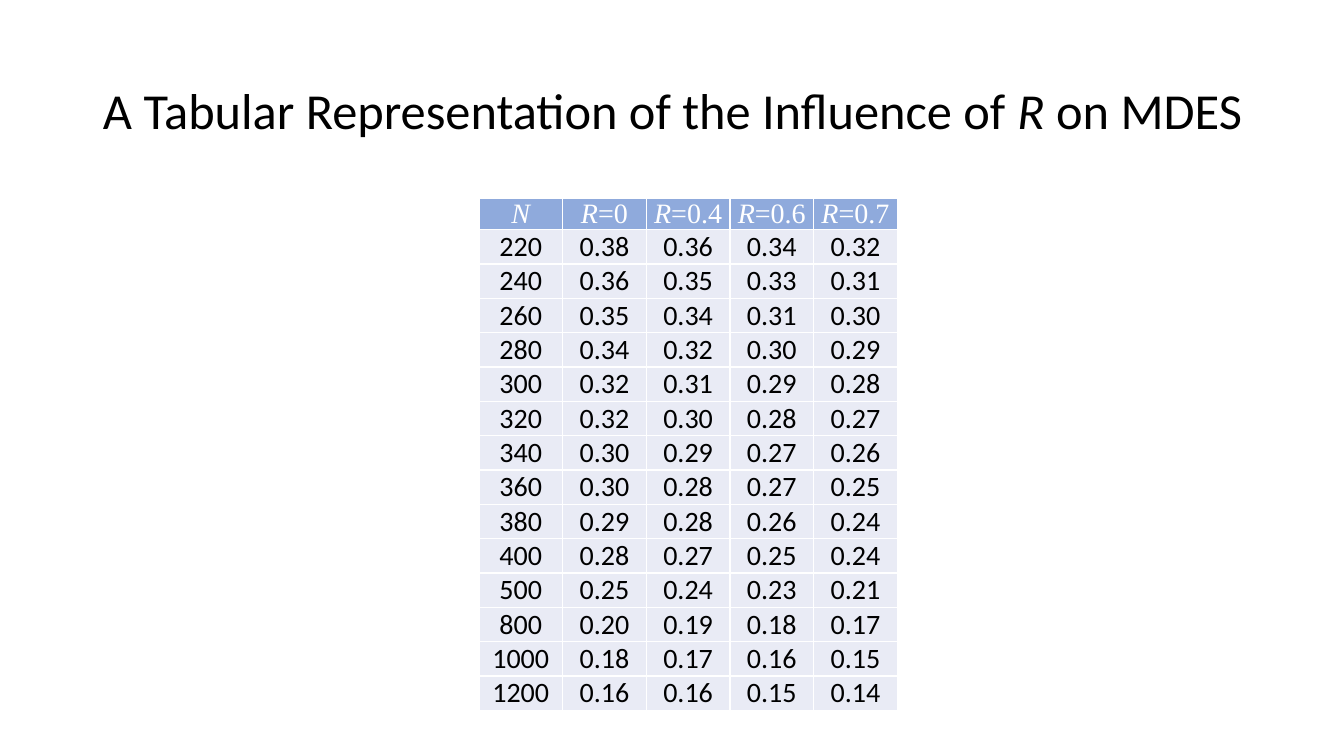
from lxml import etree
from pptx import Presentation
from pptx import util as u
from pptx.dml.color import RGBColor
from pptx.enum import text
from pptx.oxml import ns

TITLE = [("A Tabular Representation of the Influence of ", False), ("R", True), (" on MDES", False)]
HEADER = [
    [("N", True)],
    [("R", True), ("=0", False)],
    [("R", True), ("=0.4", False)],
    [("R", True), ("=0.6", False)],
    [("R", True), ("=0.7", False)],
]
MDES = [
    ("220", "0.38", "0.36", "0.34", "0.32"),
    ("240", "0.36", "0.35", "0.33", "0.31"),
    ("260", "0.35", "0.34", "0.31", "0.30"),
    ("280", "0.34", "0.32", "0.30", "0.29"),
    ("300", "0.32", "0.31", "0.29", "0.28"),
    ("320", "0.32", "0.30", "0.28", "0.27"),
    ("340", "0.30", "0.29", "0.27", "0.26"),
    ("360", "0.30", "0.28", "0.27", "0.25"),
    ("380", "0.29", "0.28", "0.26", "0.24"),
    ("400", "0.28", "0.27", "0.25", "0.24"),
    ("500", "0.25", "0.24", "0.23", "0.21"),
    ("800", "0.20", "0.19", "0.18", "0.17"),
    ("1000", "0.18", "0.17", "0.16", "0.15"),
    ("1200", "0.16", "0.16", "0.15", "0.14"),
]
COLUMN_WIDTH, ROW_HEIGHT = 0.83, 0.22
TABLE_LEFT, TABLE_TOP, TABLE_HEIGHT = 4.75, 1.97, 5.05


def color(hex_string):
    return RGBColor.from_string(hex_string)


def write(paragraph, runs, font_name, size, hex_string):
    paragraph.alignment = text.PP_ALIGN.CENTER
    paragraph.font.name = font_name
    paragraph.font.size = u.Pt(size)
    paragraph.font.color.rgb = color(hex_string)
    for words, italic in runs:
        run = paragraph.add_run()
        run.text = words
        run.font.name = font_name
        run.font.size = u.Pt(size)
        run.font.color.rgb = color(hex_string)
        run.font.italic = italic


def add_borders(cell, hex_string, width):
    properties = cell._tc.get_or_add_tcPr()
    for side in ("lnL", "lnR", "lnT", "lnB"):
        line = etree.SubElement(properties, ns.qn("a:" + side), w=str(u.Pt(width)))
        fill = etree.SubElement(line, ns.qn("a:solidFill"))
        etree.SubElement(fill, ns.qn("a:srgbClr"), val=hex_string)


def fill_cell(cell, runs, font_name, text_color, fill_color):
    cell.margin_left = cell.margin_right = cell.margin_top = cell.margin_bottom = 0
    cell.vertical_anchor = text.MSO_ANCHOR.BOTTOM
    add_borders(cell, "FFFFFF", 1)
    cell.fill.solid()
    cell.fill.fore_color.rgb = color(fill_color)
    write(cell.text_frame.paragraphs[0], runs, font_name, 20, text_color)


def add_title(slide):
    title = slide.shapes.title
    title.left, title.top = u.Inches(0.92), u.Inches(0.4)
    title.width, title.height = u.Inches(11.5), u.Inches(1.45)
    title.text_frame.vertical_anchor = text.MSO_ANCHOR.MIDDLE
    paragraph = title.text_frame.paragraphs[0]
    paragraph.line_spacing = 0.9
    write(paragraph, TITLE, "Calibri", 36, "000000")


def add_mdes_table(slide):
    frame = slide.shapes.add_table(
        len(MDES) + 1, len(HEADER), u.Inches(TABLE_LEFT), u.Inches(TABLE_TOP),
        u.Inches(COLUMN_WIDTH * len(HEADER)), u.Inches(TABLE_HEIGHT))
    table = frame.table
    for row in table.rows:
        row.height = u.Inches(ROW_HEIGHT)
    frame.height = u.Inches(TABLE_HEIGHT)
    for column, runs in enumerate(HEADER):
        fill_cell(table.cell(0, column), runs, "Times New Roman", "FFFFFF", "8FAADC")
    for row, values in enumerate(MDES, 1):
        for column, value in enumerate(values):
            fill_cell(table.cell(row, column), [(value, False)], "Calibri", "000000", "E9EBF5")


def main():
    presentation = Presentation()
    presentation.slide_width, presentation.slide_height = u.Inches(13.33), u.Inches(7.5)
    slide = presentation.slides.add_slide(presentation.slide_layouts[5])
    add_title(slide)
    add_mdes_table(slide)
    presentation.save("out.pptx")


if __name__ == "__main__":
    main()
